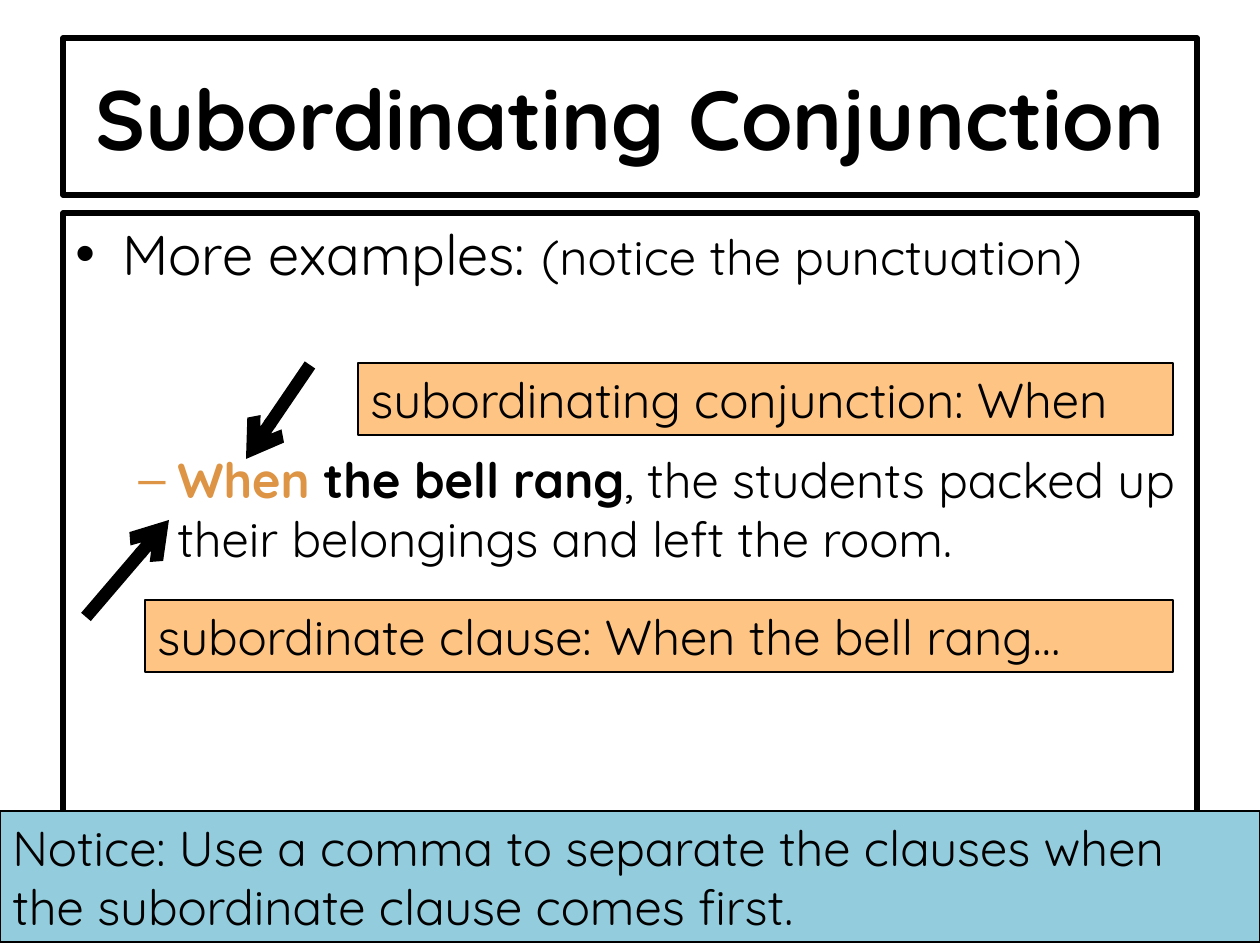
from lxml import etree
from pptx import Presentation
from pptx.dml.color import RGBColor
from pptx.enum.shapes import MSO_CONNECTOR, MSO_SHAPE
from pptx.enum.text import MSO_ANCHOR, PP_ALIGN
from pptx.oxml.ns import qn
from pptx.util import Emu, Pt

RECTANGLE = MSO_SHAPE.RECTANGLE
STRAIGHT = MSO_CONNECTOR.STRAIGHT
TOP, MIDDLE = MSO_ANCHOR.TOP, MSO_ANCHOR.MIDDLE
LEFT, CENTER = PP_ALIGN.LEFT, PP_ALIGN.CENTER

BLACK = RGBColor(0x00, 0x00, 0x00)
WHITE = RGBColor(0xFF, 0xFF, 0xFF)
ORANGE = RGBColor(0xDD, 0x94, 0x44)
PEACH = RGBColor(0xFE, 0xC4, 0x83)
LIGHT_BLUE = RGBColor(0x93, 0xCD, 0xDD)

FONT = "Quicksand"
PX = 914400 / 126
FRAME_LINE, LABEL_LINE, ARROW_LINE = 3, 0.75, 7.25


def px(length):
    return Emu(round(length * PX))


def add_box(slide, bounds, fill, line_width, anchor=TOP):
    """Add an outlined rectangle and return its text frame."""
    shape = slide.shapes.add_shape(RECTANGLE, *map(px, bounds))
    shape.shadow.inherit = False
    shape.fill.solid()
    shape.fill.fore_color.rgb = fill
    shape.line.color.rgb = BLACK
    shape.line.width = Pt(line_width)
    text_frame = shape.text_frame
    text_frame.word_wrap = True
    text_frame.vertical_anchor = anchor
    return text_frame


def style_paragraph(paragraph, size, alignment=LEFT):
    paragraph.alignment = alignment
    paragraph.font.name = FONT
    paragraph.font.size = Pt(size)
    paragraph.font.color.rgb = BLACK


def write_line(text_frame, text, size, alignment=LEFT):
    paragraph = text_frame.paragraphs[0]
    style_paragraph(paragraph, size, alignment)
    run = paragraph.add_run()
    run.text = text
    run.font.name = FONT
    run.font.size = Pt(size)
    run.font.color.rgb = BLACK
    return run


def write_bullet(paragraph, bullet, margin, hanging, runs):
    """Write runs of (text, size, color, bold) behind a hanging bullet."""
    properties = paragraph._p.get_or_add_pPr()
    properties.set("marL", str(px(margin)))
    properties.set("indent", str(-px(hanging)))
    etree.SubElement(properties, qn("a:buFont"), typeface="Arial")
    etree.SubElement(properties, qn("a:buChar"), char=bullet)
    style_paragraph(paragraph, runs[0][1])
    for text, size, color, bold in runs:
        run = paragraph.add_run()
        run.text = text
        run.font.name = FONT
        run.font.size = Pt(size)
        run.font.color.rgb = color
        run.font.bold = bold


def add_label(slide, bounds, fill, text):
    write_line(add_box(slide, bounds, fill, LABEL_LINE), text, 28)


def add_arrow(slide, start, end):
    connector = slide.shapes.add_connector(STRAIGHT, *map(px, start + end))
    connector.line.color.rgb = BLACK
    connector.line.width = Pt(ARROW_LINE)
    etree.SubElement(connector.line._get_or_add_ln(), qn("a:tailEnd"), type="arrow")
    etree.SubElement(connector._element.spPr, qn("a:effectLst"))


def add_title(slide):
    text_frame = add_box(slide, (63, 38, 1134, 157), WHITE, FRAME_LINE, MIDDLE)
    write_line(text_frame, "Subordinating Conjunction", 48, CENTER).font.bold = True


def add_examples(slide):
    text_frame = add_box(slide, (63, 213, 1134, 624), WHITE, FRAME_LINE)
    write_bullet(text_frame.paragraphs[0], "•", 47, 47, [
        ("More examples: ", 32, BLACK, False),
        ("(notice the punctuation)", 28, BLACK, False),
    ])
    sentence = text_frame.add_paragraph()
    sentence.level = 1
    sentence.space_before = Pt(93)
    write_bullet(sentence, "–", 102, 39, [
        ("When", 28, ORANGE, True),
        (" the bell rang", 28, BLACK, True),
        (", the students packed up their belongings and left the room.", 28, BLACK, False),
    ])


def main():
    presentation = Presentation()
    presentation.slide_width, presentation.slide_height = px(1260), px(945)
    slide = presentation.slides.add_slide(presentation.slide_layouts[6])

    add_title(slide)
    add_examples(slide)
    add_arrow(slide, (86, 617), (169, 520))
    add_label(slide, (145, 600, 1028, 72), PEACH, "subordinate clause: When the bell rang…")
    add_arrow(slide, (310, 365), (246, 459))
    add_label(slide, (358, 363, 815, 72), PEACH, "subordinating conjunction: When")
    add_label(slide, (0, 811, 1260, 131), LIGHT_BLUE,
              "Notice: Use a comma to separate the clauses when the subordinate clause comes first.")

    presentation.save("out.pptx")


if __name__ == "__main__":
    main()
